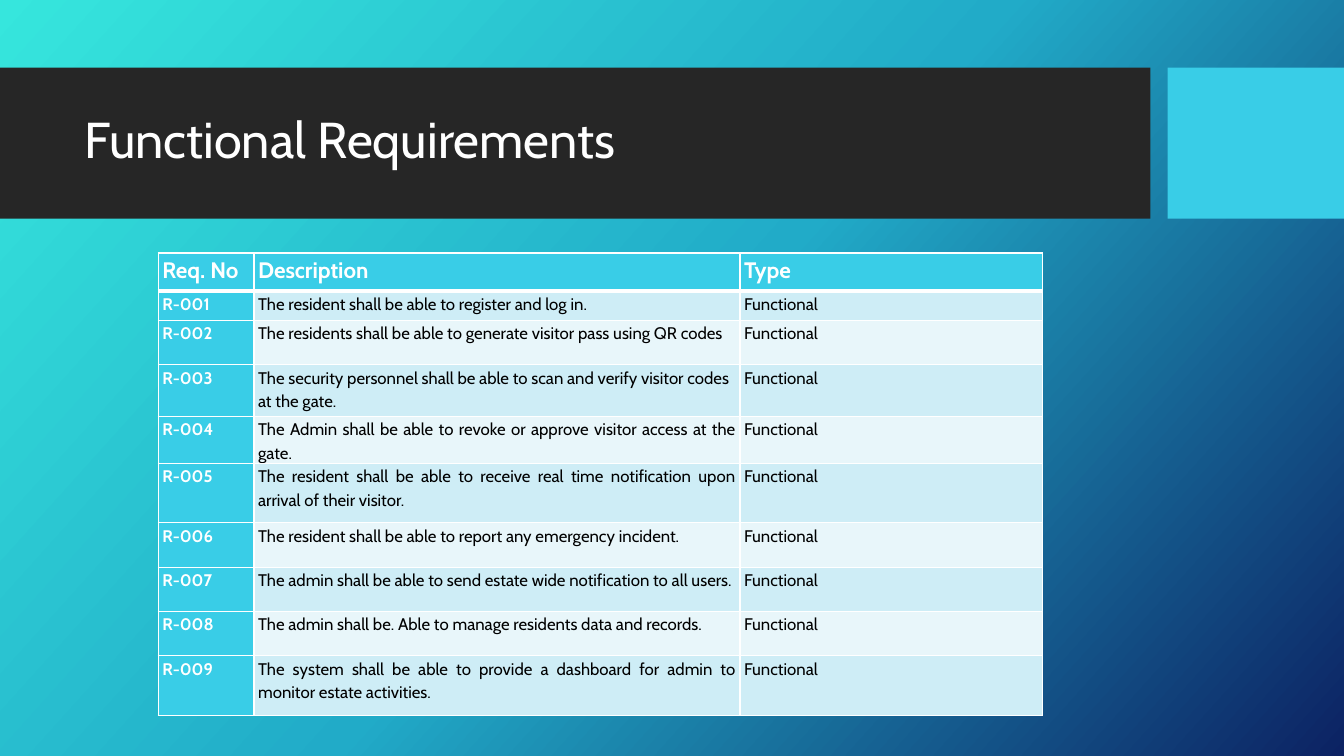
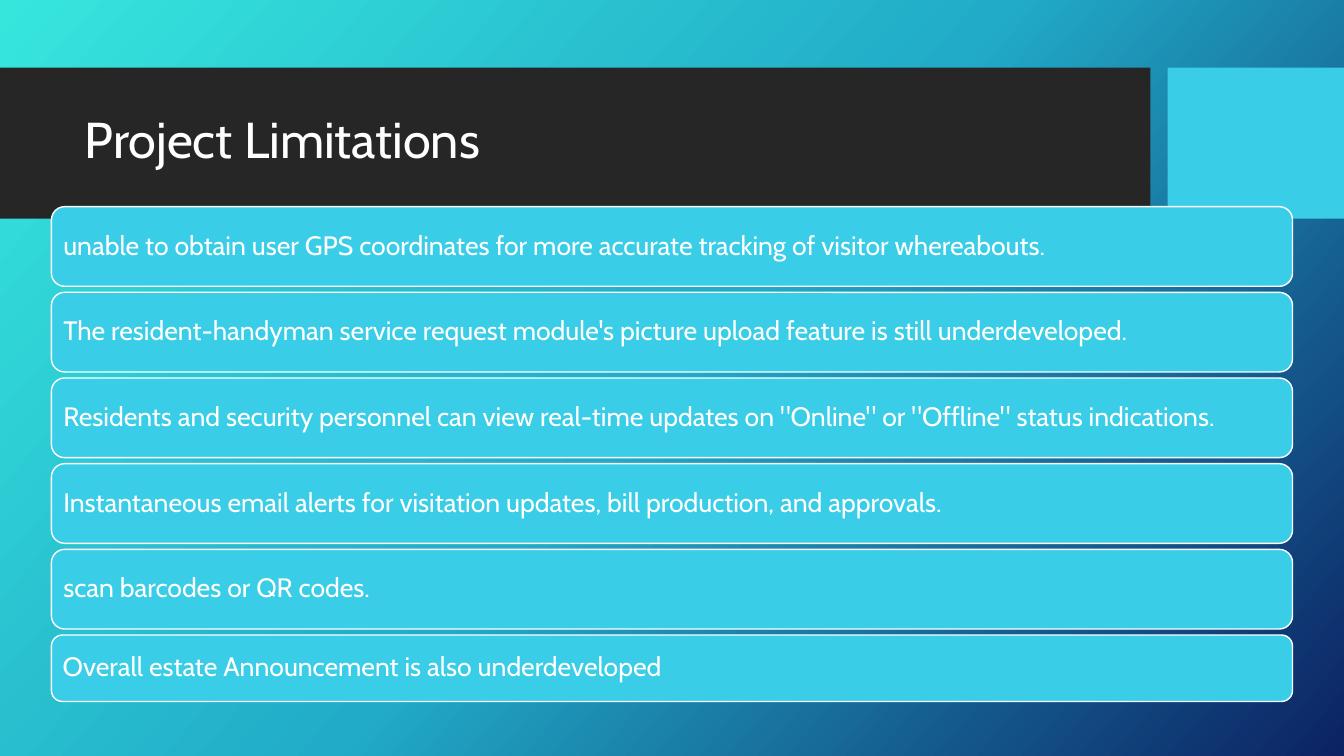
from copy import deepcopy

from lxml.etree import SubElement
from pptx import Presentation
from pptx.dml.color import RGBColor
from pptx.enum.shapes import MSO_SHAPE as Preset
from pptx.enum.text import MSO_ANCHOR as Anchor, PP_ALIGN as Align
from pptx.oxml.ns import qn
from pptx.util import Inches, Pt

FONT = "Cabin"
WHITE, BLACK = "FFFFFF", "000000"
CYAN, CHARCOAL = "39CDE7", "262626"
ROW_TINTS = ("CEEDF6", "E8F6FA")
GRADIENT = ((0, "36E6DD"), (0.5, "21ABC8"), (1, "0C2263"))
GRADIENT_ANGLE = 42

SLIDE_WIDTH, SLIDE_HEIGHT = 13.33, 7.5
BAND_TOP, BAND_HEIGHT = 0.67, 1.5
BAND_WIDTH, ACCENT_LEFT = 11.41, 11.58
TITLE_BOX = (0.74, 0.82, 10.51, 1.18)

TABLE_LEFT, TABLE_TOP = 1.57, 2.51
COLUMN_WIDTHS = (0.95, 4.82, 3)
ROW_HEIGHTS = (0.38, 0.29, 0.44, 0.51, 0.44, 0.59, 0.44, 0.44, 0.44, 0.59)
HEADINGS = ("Req. No", "Description", "Type")
LEFT_ALIGNED_REQUIREMENT = 3
REQUIREMENTS = (
    "The resident shall be able to register and log in.",
    "The residents shall be able to generate visitor pass using QR codes",
    "The security personnel shall be able to scan and verify visitor codes at the gate.",
    "The Admin shall be able to revoke or approve visitor access at the gate.",
    "The resident shall be able to receive real time notification upon arrival of their visitor.",
    "The resident shall be able to report any emergency incident.",
    "The admin shall be able to send estate wide notification to all users.",
    "The admin shall be. Able to manage residents data and records.",
    "The system shall be able to provide a dashboard for admin to monitor estate activities.",
)

CARD_MARGIN, CARD_TOP, CARD_PITCH = 0.51, 2.05, 0.85
CARD_HEIGHT, LAST_CARD_HEIGHT = 0.79, 0.66
LIMITATIONS = (
    "unable to obtain user GPS coordinates for more accurate tracking of visitor whereabouts.",
    "The resident-handyman service request module's picture upload feature is still underdeveloped.",
    'Residents and security personnel can view real-time updates on "Online" or "Offline" status indications.',
    "Instantaneous email alerts for visitation updates, bill production, and approvals.",
    "scan barcodes or QR codes.",
    "Overall estate Announcement is also underdeveloped",
)


def color(hex_value):
    return RGBColor.from_string(hex_value)


def write(frame, text, size, hex_value=WHITE, bold=False, align=Align.LEFT, spacing=0.9):
    paragraph = frame.paragraphs[0]
    paragraph.alignment = align
    paragraph.line_spacing = spacing
    run = paragraph.add_run()
    run.text = text
    run.font.name, run.font.size, run.font.bold = FONT, Pt(size), bold
    run.font.color.rgb = color(hex_value)
    return paragraph


def set_margins(holder, horizontal, vertical):
    holder.margin_left = holder.margin_right = Inches(horizontal)
    holder.margin_top = holder.margin_bottom = Inches(vertical)


def add_box(slide, preset, left, top, width, height, fill, line=None):
    shape = slide.shapes.add_shape(preset, *map(Inches, (left, top, width, height)))
    shape.shadow.inherit = False
    shape.fill.solid()
    shape.fill.fore_color.rgb = color(fill)
    if line:
        shape.line.color.rgb = color(line)
        shape.line.width = Pt(1)
    else:
        shape.line.fill.background()
    return shape


def paint_background(layout):
    fill = layout.background.fill
    fill.gradient()
    fill.gradient_angle = 360 - GRADIENT_ANGLE
    stop_list = next(layout.element.iter(qn("a:gsLst")))
    stop_list.append(deepcopy(stop_list[-1]))
    for stop, (position, hex_value) in zip(fill.gradient_stops, GRADIENT):
        stop.position = position
        stop.color.rgb = color(hex_value)


def move_bands_to_layout(slide, layout):
    """Draw the title bands on a slide, then hand them to the layout all slides share."""
    accent_width = SLIDE_WIDTH - ACCENT_LEFT
    for left, width, fill in ((0, BAND_WIDTH, CHARCOAL), (ACCENT_LEFT, accent_width, CYAN)):
        band = add_box(slide, Preset.RECTANGLE, left, BAND_TOP, width, BAND_HEIGHT, fill)
        layout.shapes.element.insert(2, band.element)


def add_titled_slide(presentation, layout, title_text):
    slide = presentation.slides.add_slide(layout)
    title = slide.shapes.title
    title.left, title.top, title.width, title.height = map(Inches, TITLE_BOX)
    title.text_frame.vertical_anchor = Anchor.MIDDLE
    title.text_frame.word_wrap = True
    write(title.text_frame, title_text, 36)
    return slide


def set_borders(cell, top=1, bottom=1):
    properties = cell._tc.get_or_add_tcPr()
    sides = (("a:lnL", 1), ("a:lnR", 1), ("a:lnT", top), ("a:lnB", bottom))
    for index, (tag, width) in enumerate(sides):
        line = SubElement(properties, qn(tag), w=str(Pt(width)))
        fill = SubElement(line, qn("a:solidFill"))
        SubElement(fill, qn("a:srgbClr"), val=WHITE)
        properties.insert(index, line)


def fill_cell(cell, text, row, column):
    is_header = row == 0
    is_label = is_header or column == 0
    left_aligned = row == LEFT_ALIGNED_REQUIREMENT and column == 1
    cell.fill.solid()
    cell.fill.fore_color.rgb = color(CYAN if is_label else ROW_TINTS[(row - 1) % 2])
    set_margins(cell, 0.04, 0)
    set_borders(cell, top=3 if row == 1 else 1, bottom=3 if is_header else 1)
    paragraph = write(
        cell.text_frame, text, 16 if is_header else 12,
        WHITE if is_label else BLACK, is_label,
        Align.LEFT if left_aligned else Align.JUSTIFY, 1.15,
    )
    paragraph.space_before = paragraph.space_after = Pt(7.2)


def add_requirements_table(slide):
    rows = [HEADINGS]
    rows += [(f"R-{number:03}", text, "Functional") for number, text in enumerate(REQUIREMENTS, 1)]
    size = (sum(COLUMN_WIDTHS), sum(ROW_HEIGHTS))
    table = slide.shapes.add_table(
        len(rows), len(HEADINGS), *map(Inches, (TABLE_LEFT, TABLE_TOP, *size))
    ).table
    table.horz_banding = False
    for column, width in zip(table.columns, COLUMN_WIDTHS):
        column.width = Inches(width)
    for row, height in zip(table.rows, ROW_HEIGHTS):
        row.height = Inches(height)
    for row_index, texts in enumerate(rows):
        for column_index, text in enumerate(texts):
            fill_cell(table.cell(row_index, column_index), text, row_index, column_index)


def add_limitation_cards(slide):
    width = SLIDE_WIDTH - 2 * CARD_MARGIN
    for index, text in enumerate(LIMITATIONS):
        height = LAST_CARD_HEIGHT if index == len(LIMITATIONS) - 1 else CARD_HEIGHT
        top = CARD_TOP + index * CARD_PITCH
        card = add_box(
            slide, Preset.ROUNDED_RECTANGLE, CARD_MARGIN, top, width, height, CYAN, WHITE
        )
        frame = card.text_frame
        frame.word_wrap = True
        frame.vertical_anchor = Anchor.MIDDLE
        set_margins(frame, 0.08, 0.08)
        write(frame, text, 19)


def main():
    presentation = Presentation()
    presentation.slide_width = Inches(SLIDE_WIDTH)
    presentation.slide_height = Inches(SLIDE_HEIGHT)
    layout = presentation.slide_layouts.get_by_name("Title Only")
    paint_background(layout)

    requirements = add_titled_slide(presentation, layout, "Functional Requirements")
    move_bands_to_layout(requirements, layout)
    add_requirements_table(requirements)

    limitations = add_titled_slide(presentation, layout, "Project Limitations")
    add_limitation_cards(limitations)
    presentation.save("out.pptx")


if __name__ == "__main__":
    main()
